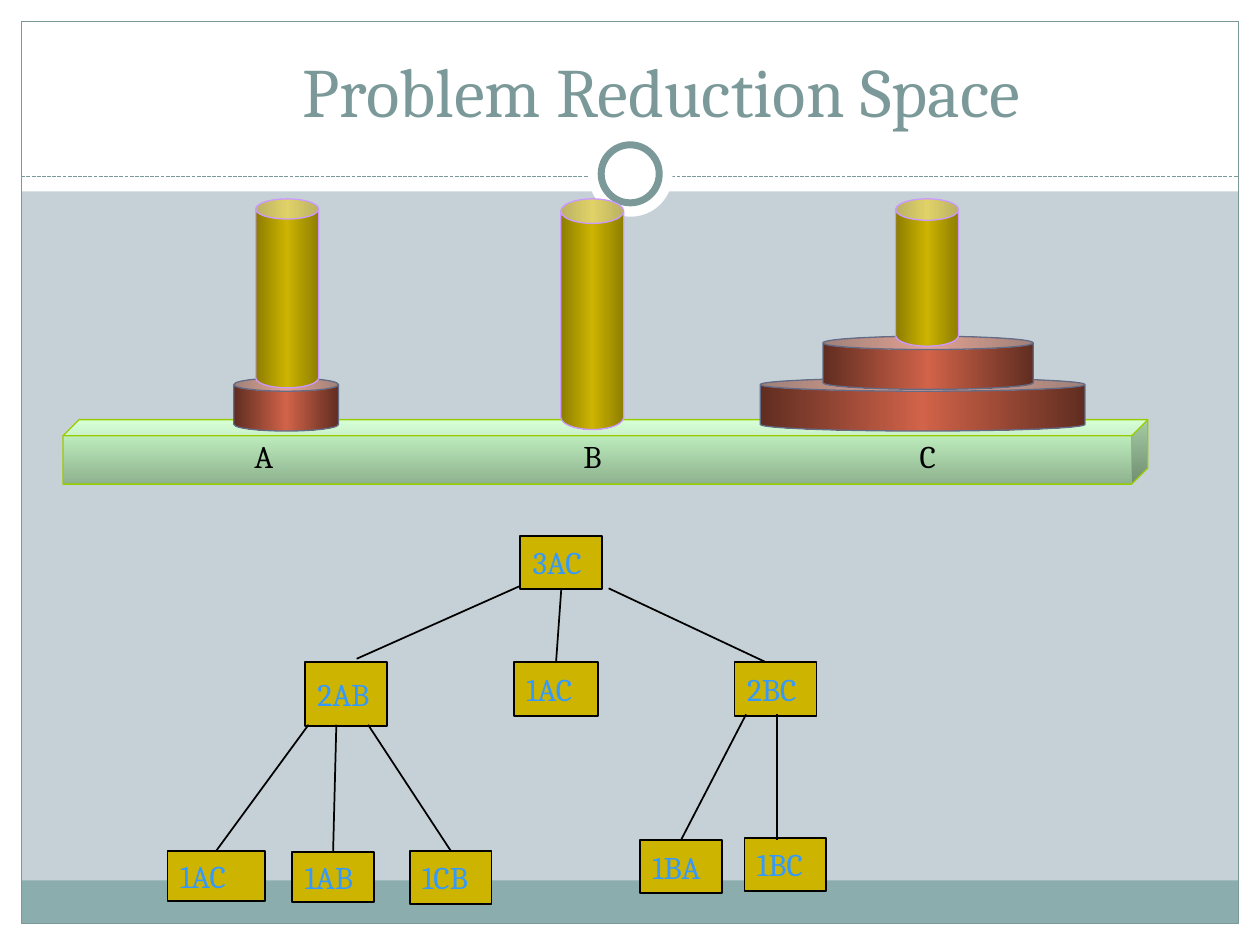
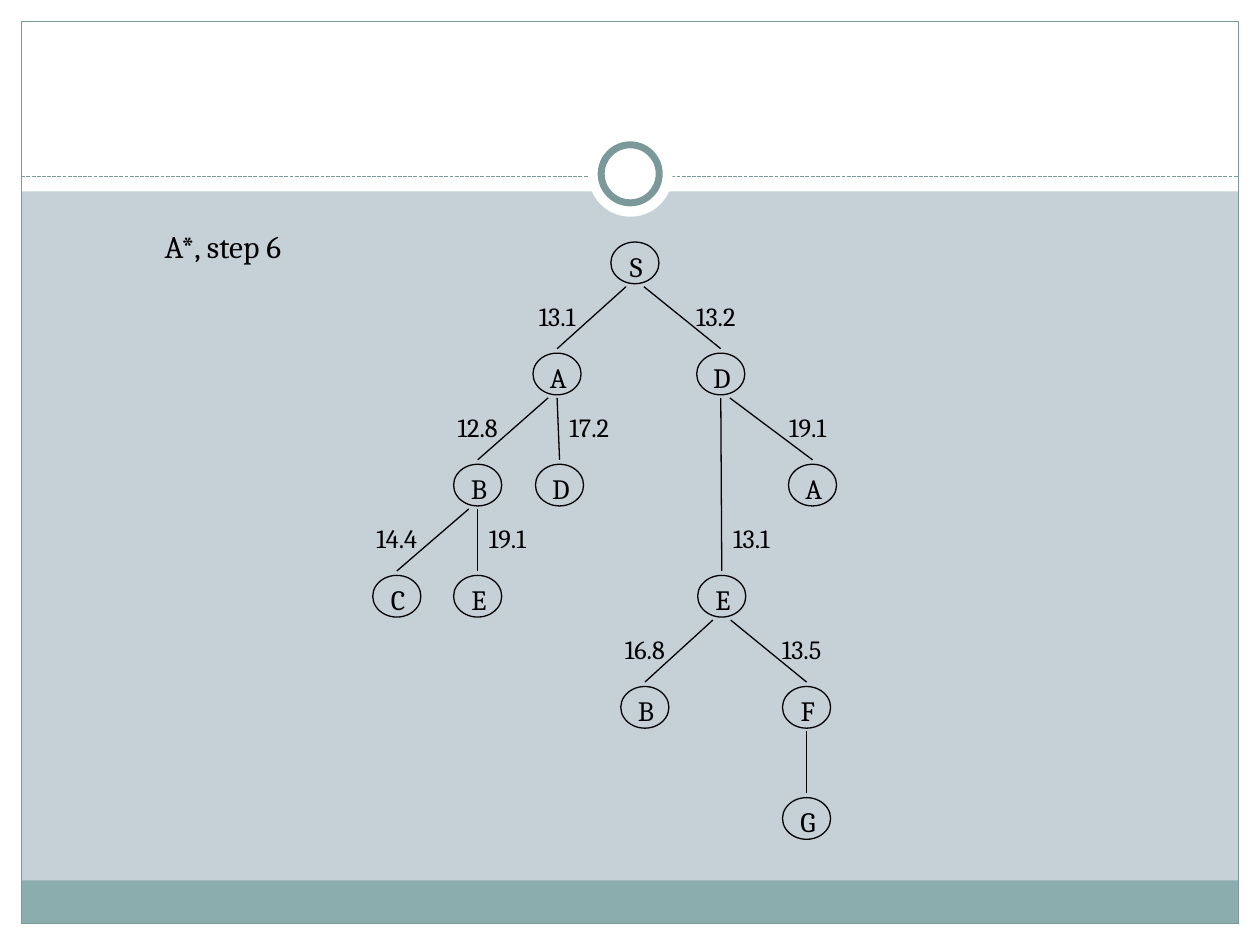
from dataclasses import dataclass

from pptx import Presentation
from pptx.dml.color import RGBColor
from pptx.enum.dml import MSO_LINE
from pptx.enum.shapes import MSO_CONNECTOR, MSO_SHAPE as Preset
from pptx.enum.text import MSO_ANCHOR as Anchor, MSO_AUTO_SIZE as AutoSize, PP_ALIGN as Align
from pptx.oxml import parse_xml
from pptx.oxml.ns import nsdecls, qn
from pptx.util import Cm, Pt


@dataclass(frozen=True)
class Theme:
    font: str = "Cambria"
    ground: str = "C5D1D7"
    white: str = "FFFFFF"
    black: str = "000000"
    band: str = "8CADAE"
    accent: str = "7C999A"
    gold: str = "CCB400"
    link: str = "3399FF"
    pole_edge: str = "CC99FF"
    disc_edge: str = "646B86"
    base_edge: str = "99CC00"
    pole_shades: tuple = ("8E7E00", "CCB400", "8E7E00")
    disc_shades: tuple = ("602D21", "D16349", "602D21")
    base_shades: tuple = ("CCFFCC", "8EB28E")
    title_size: float = 39.6
    label_size: float = 18
    node_size: float = 16
    cost_size: float = 15
    thin: float = 0.75
    medium: float = 1
    ring: float = 4


THEME = Theme()
WIDTH, HEIGHT, MARGIN = 25.4, 19.05, 0.43
HEADER, RULE_Y = 3.86, 3.56

# Towers: centres, widths and heights in cm
TITLE = "Problem Reduction Space"
BASE = (1.27, 8.46, 21.87, 1.3)
FLOOR, DISC_HEIGHT, DISC_STEP = 8.69, 1.07, 0.84
POLE_TOP, POLE_WIDTH = 4.01, 1.27
DISCS = [(18.6, 6.55, 0), (18.71, 4.24, 1), (5.77, 2.11, 0)]  # centre, width, level
POLES = [(11.94, 4.65, 0.39), (5.79, 3.81, 0.32), (18.69, 2.97, 0.34)]  # centre, height, rim
PEGS = [("A", 4.88), ("B", 11.51), ("C", 18.29)]

# Subproblem tree: key -> label and box
GOALS = {
    "root": ("3AC", (10.49, 10.8, 1.65, 1.07)),
    "left": ("2AB", (6.15, 13.34, 1.65, 1.3)),
    "middle": ("1AC", (10.36, 13.34, 1.7, 1.09)),
    "right": ("2BC", (14.81, 13.34, 1.65, 1.09)),
    "left 1": ("1AC", (3.38, 17.15, 1.96, 1.02)),
    "left 2": ("1AB", (5.89, 17.17, 1.65, 1.02)),
    "left 3": ("1CB", (8.26, 17.15, 1.65, 1.07)),
    "right 1": ("1BA", (12.9, 16.94, 1.65, 1.07)),
    "right 2": ("1BC", (15.01, 16.89, 1.65, 1.07)),
}
# An end is a point, or the key of the box it joins at mid-side
BRANCHES = [
    ((10.49, 11.81), (7.19, 13.28)),
    ("root", "middle"),
    ((12.27, 11.86), (15.42, 13.34)),
    ((6.22, 14.61), "left 1"),
    ((6.78, 14.61), "left 2"),
    ((7.42, 14.61), "left 3"),
    ((15.04, 14.4), "right 1"),
    ((15.67, 14.4), (15.67, 16.94)),
]

# Search tree: key -> letter, centre x, level
STEP = "A*, step 6"
NODES = {
    "S": ("S", 12.8, 0),
    "SA": ("A", 11.23, 1),
    "SD": ("D", 14.53, 1),
    "SAB": ("B", 9.63, 2),
    "SAD": ("D", 11.28, 2),
    "SDA": ("A", 16.38, 2),
    "SABC": ("C", 8.0, 3),
    "SABE": ("E", 9.63, 3),
    "SDE": ("E", 14.55, 3),
    "SDEB": ("B", 13.0, 4),
    "SDEF": ("F", 16.26, 4),
    "SDEFG": ("G", 16.26, 5),
}
COSTS = {
    "SA": "13.1", "SD": "13.2", "SAB": "12.8", "SAD": "17.2", "SDA": "19.1",
    "SABC": "14.4", "SABE": "19.1", "SDE": "13.1", "SDEB": "16.8", "SDEF": "13.5",
}
TREE_TOP, LEVEL_STEP, OVAL_WIDTH, OVAL_HEIGHT = 4.88, 2.24, 0.97, 0.84


def colour(code):
    return RGBColor.from_string(code)


def paint_gradient(shape, shades, angle):
    last = len(shades) - 1
    stops = "".join(
        f'<a:gs pos="{100000 * i // last}"><a:srgbClr val="{shade}"/></a:gs>'
        for i, shade in enumerate(shades))
    gradient = parse_xml(
        f'<a:gradFill {nsdecls("a")} rotWithShape="1"><a:gsLst>{stops}</a:gsLst>'
        f'<a:lin ang="{angle * 60000}" scaled="0"/></a:gradFill>')
    shape.fill.background()
    properties = shape._element.spPr
    properties.replace(properties.find(qn("a:noFill")), gradient)


def add_box(page, preset, place, fill=None, line=None, weight=THEME.thin, angle=0):
    shape = page.shapes.add_shape(preset, *map(Cm, place))
    shape.shadow.inherit = False
    if isinstance(fill, tuple):
        paint_gradient(shape, fill, angle)
    elif fill:
        shape.fill.solid()
        shape.fill.fore_color.rgb = colour(fill)
    else:
        shape.fill.background()
    if line:
        shape.line.color.rgb = colour(line)
        shape.line.width = Pt(weight)
    else:
        shape.line.fill.background()
    return shape


def write(shape, text, size, ink=THEME.black, align=Align.LEFT, anchor=Anchor.TOP, wrap=True):
    frame = shape.text_frame
    frame.auto_size = AutoSize.NONE
    frame.word_wrap = wrap
    frame.vertical_anchor = anchor
    para = frame.paragraphs[0]
    para.alignment = align
    span = para.add_run()
    span.text = text
    span.font.name = THEME.font
    span.font.size = Pt(size)
    span.font.color.rgb = colour(ink)


def add_text(page, place, text, size, **style):
    write(page.shapes.add_textbox(*map(Cm, place)), text, size, **style)


def add_line(page, start, end, ink=THEME.black, weight=THEME.thin):
    line = page.shapes.add_connector(MSO_CONNECTOR.STRAIGHT, *map(Cm, (*start, *end)))
    line.line.color.rgb = colour(ink)
    line.line.width = Pt(weight)
    line._element.spPr.append(parse_xml(f'<a:effectLst {nsdecls("a")}/>'))
    return line


def build_frame(deck, page):
    """Draw the shared frame on a page, then move it to the back of the master."""
    master = deck.slide_master
    master.background.fill.solid()
    master.background.fill.fore_color.rgb = colour(THEME.ground)
    inner = WIDTH - 2 * MARGIN
    parts = [add_box(page, Preset.RECTANGLE, place, THEME.white) for place in (
        (0, HEIGHT - MARGIN, WIDTH, MARGIN),
        (0, 0, WIDTH, HEADER),
        (0, 0, MARGIN, HEIGHT),
        (WIDTH - MARGIN, 0, MARGIN, HEIGHT))]
    parts.append(add_box(page, Preset.RECTANGLE, (MARGIN, 17.75, inner, 0.87), THEME.band))
    parts.append(add_box(page, Preset.RECTANGLE, (MARGIN, MARGIN, inner, HEIGHT - 2 * MARGIN),
                         line=THEME.accent))
    rule = add_line(page, (MARGIN, RULE_Y), (WIDTH - MARGIN, RULE_Y), THEME.accent)
    rule.line.dash_style = MSO_LINE.SQUARE_DOT
    parts.append(rule)
    parts.append(add_box(page, Preset.OVAL, (11.86, 2.67, 1.7, 1.7), THEME.white))
    parts.append(add_box(page, Preset.OVAL, (12.12, 2.92, 1.17, 1.17), THEME.white,
                         THEME.accent, THEME.ring))
    for i, part in enumerate(parts):
        element = part._element
        element.xpath(".//p:cNvPr")[0].set("id", str(100 + i))
        master.shapes._spTree.insert(2 + i, element)


def build_towers(page):
    add_box(page, Preset.CUBE, BASE, THEME.base_shades, THEME.base_edge, angle=90)
    for letter, left in PEGS:
        add_text(page, (left, FLOOR, 1.27, 1.02), letter, THEME.label_size, anchor=Anchor.MIDDLE)
    for centre, width, level in DISCS:
        top = FLOOR - DISC_HEIGHT - level * DISC_STEP
        add_box(page, Preset.CAN, (centre - width / 2, top, width, DISC_HEIGHT),
                THEME.disc_shades, THEME.disc_edge)
    for centre, height, rim in POLES:
        pole = add_box(page, Preset.CAN, (centre - POLE_WIDTH / 2, POLE_TOP, POLE_WIDTH, height),
                       THEME.pole_shades, THEME.pole_edge)
        pole.adjustments[0] = rim


def build_goals(page):
    boxes = {}
    for key, (label, place) in GOALS.items():
        box = add_box(page, Preset.RECTANGLE, place, THEME.gold, THEME.black, THEME.medium)
        box.text_frame.margin_right = 0
        write(box, label, THEME.label_size, THEME.link, anchor=Anchor.MIDDLE)
        boxes[key] = box
    for start, end in BRANCHES:
        points = [(0, 0) if isinstance(tip, str) else tip for tip in (start, end)]
        line = add_line(page, *points, weight=THEME.medium)
        if start in boxes:
            line.begin_connect(boxes[start], 2)
        if end in boxes:
            line.end_connect(boxes[end], 0)


def build_search(page):
    add_text(page, (3.07, 4.45, 3.23, 0.99), STEP, THEME.label_size)
    for key, (letter, centre, level) in NODES.items():
        top = TREE_TOP + level * LEVEL_STEP
        add_text(page, (centre - 0.42, top + 0.02, 0.89, 0.81), letter, THEME.node_size,
                 align=Align.CENTER, wrap=False)
        add_box(page, Preset.OVAL, (centre - OVAL_WIDTH / 2, top, OVAL_WIDTH, OVAL_HEIGHT),
                line=THEME.black)
        parent = NODES.get(key[:-1])
        if not parent:
            continue
        # Slanted edges leave beside the parent's centre; upright ones put the cost on the right
        _, origin, parent_level = parent
        if abs(centre - origin) < 0.5:
            lean, cost_shift = 0, 0.6
        elif centre < origin:
            lean, cost_shift = -0.18, 0
        else:
            lean, cost_shift = 0.18, -0.1
        bottom = TREE_TOP + parent_level * LEVEL_STEP + OVAL_HEIGHT
        add_line(page, (origin + lean, bottom + 0.06), (centre, top - 0.09))
        if key in COSTS:
            add_text(page, (centre + cost_shift - 0.76, top - 1.2, 1.52, 0.79), COSTS[key],
                     THEME.cost_size, align=Align.CENTER)


def main():
    deck = Presentation()
    deck.slide_width, deck.slide_height = Cm(WIDTH), Cm(HEIGHT)

    # Problem reduction
    page = deck.slides.add_slide(deck.slide_layouts[5])
    build_frame(deck, page)
    title = page.shapes.title
    title.left, title.top, title.width, title.height = map(Cm, (1.9, 1.07, 22.86, 1.7))
    write(title, TITLE, THEME.title_size, THEME.accent, Align.CENTER, Anchor.BOTTOM)
    build_goals(page)
    build_towers(page)

    # A* search
    build_search(deck.slides.add_slide(deck.slide_layouts[6]))
    deck.save("out.pptx")


if __name__ == "__main__":
    main()
